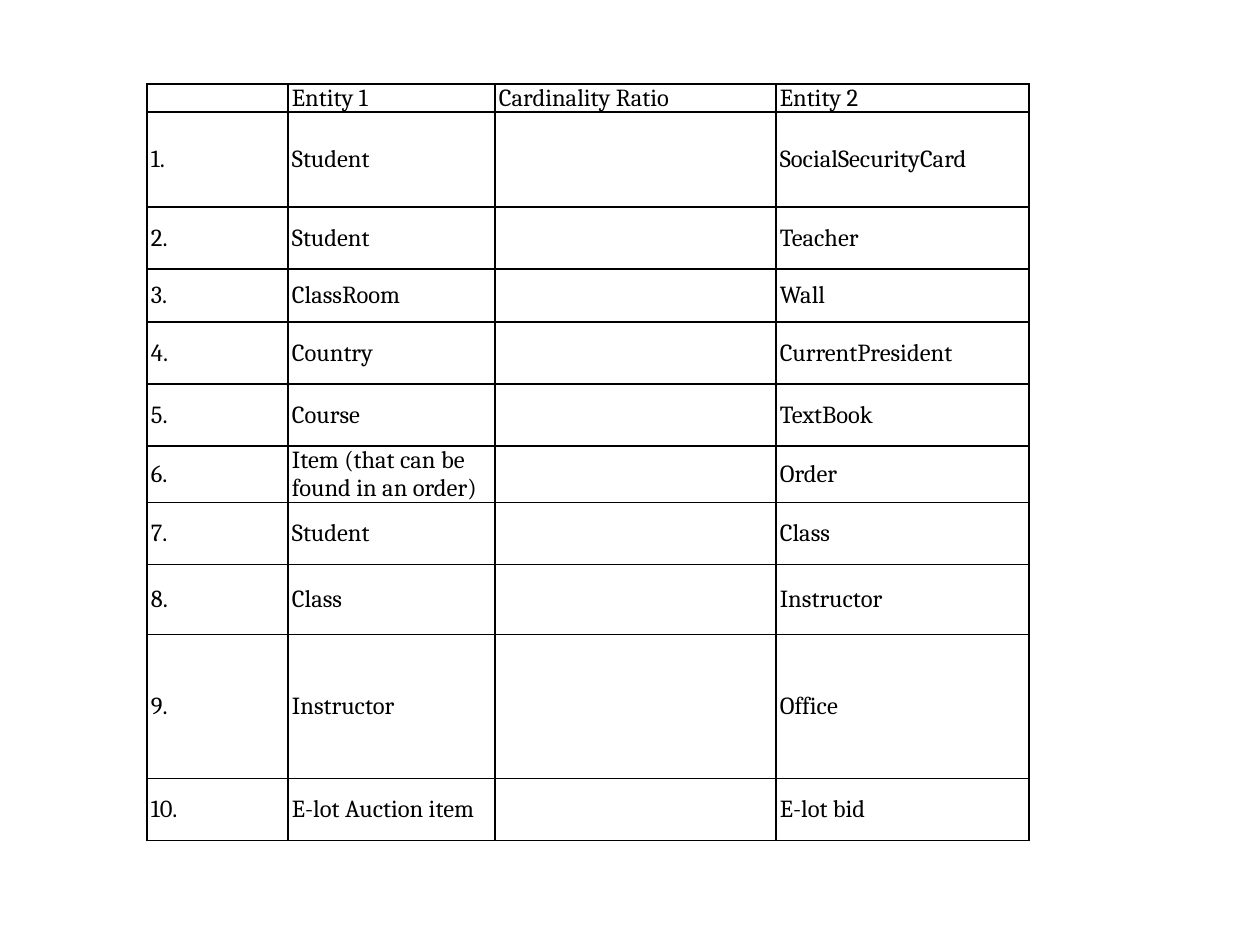
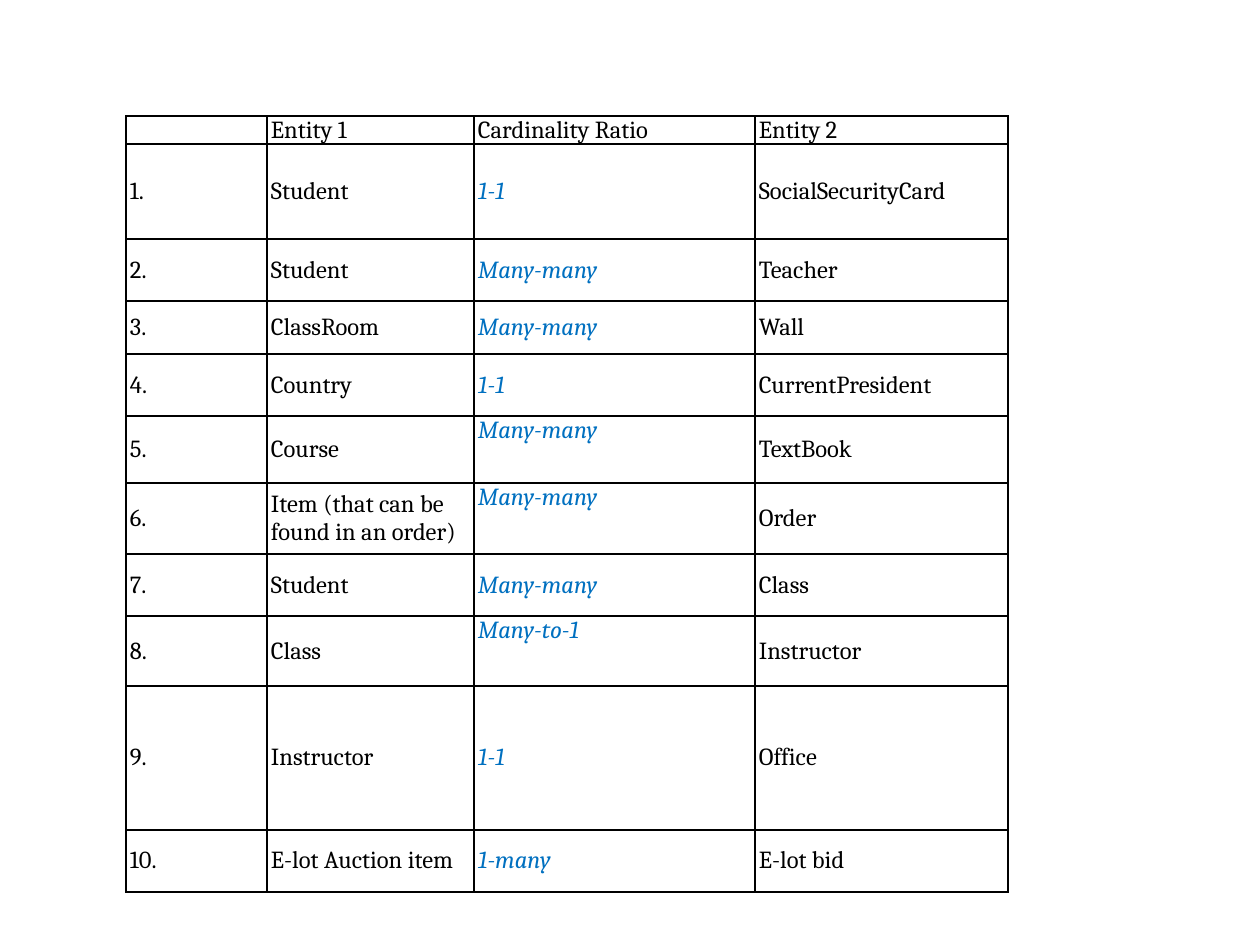
"""Build two slides of cardinality tables: the exercise and its answers."""
from lxml.etree import SubElement
from pptx import Presentation
from pptx.dml.color import RGBColor
from pptx.enum.text import MSO_ANCHOR
from pptx.oxml.ns import qn
from pptx.util import Pt

FONT = "Cambria"
BLACK = "000000"
BLUE = "0070C0"
SIZE = 14
COLS = [141, 207, 281, 253]
HEADS = ["", "Entity 1", "Cardinality Ratio", "Entity 2"]
PAIRS = [
    ("Student", "1-1", "SocialSecurityCard"),
    ("Student", "Many-many", "Teacher"),
    ("ClassRoom", "Many-many", "Wall"),
    ("Country", "1-1", "CurrentPresident"),
    ("Course", "Many-many", "TextBook"),
    ("Item (that can be found in an order)", "Many-many", "Order"),
    ("Student", "Many-many", "Class"),
    ("Class", "Many-to-1", "Instructor"),
    ("Instructor", "1-1", "Office"),
    ("E-lot Auction item", "1-many", "E-lot bid"),
]
TASK = [28, 95, 62, 53, 62, 62, 56, 62, 70, 144, 62]
KEY = [28, 95, 62, 53, 62, 67, 71, 62, 70, 144, 62]
RAISED = {5, 6, 8}


def px(count):
    return round(count * 914400 / 126)


def paint(code):
    return RGBColor.from_string(code)


deck = Presentation()
deck.slide_width = px(1260)
deck.slide_height = px(945)

for left, top, heights, solved in [(147, 84, TASK, False), (126, 116, KEY, True)]:
    slide = deck.slides.add_slide(deck.slide_layouts[6])
    frame = slide.shapes.add_table(len(heights), len(COLS), px(left), px(top),
                                   px(sum(COLS)), px(sum(heights)))
    table = frame.table
    table.first_row = False
    table.horz_banding = False
    for col, width in zip(table.columns, COLS):
        col.width = px(width)
    for row, height in zip(table.rows, heights):
        row.height = px(height)

    lines = [HEADS]
    for num, (first, ratio, second) in enumerate(PAIRS, 1):
        lines.append([f"{num}.", first, ratio if solved else "", second])

    for r, line in enumerate(lines):
        for c, text in enumerate(line):
            cell = table.cell(r, c)
            answer = r > 0 and c == 2
            cell.margin_left = cell.margin_right = px(4)
            cell.margin_top = cell.margin_bottom = 0
            raised = answer and r in RAISED
            cell.vertical_anchor = MSO_ANCHOR.TOP if raised else MSO_ANCHOR.MIDDLE

            props = cell._tc.get_or_add_tcPr()
            for side in ("lnL", "lnR", "lnT", "lnB"):
                edge = SubElement(props, qn(f"a:{side}"), w=str(Pt(1)))
                fill = SubElement(edge, qn("a:solidFill"))
                SubElement(fill, qn("a:srgbClr"), val=BLACK)
            cell.fill.background()

            para = cell.text_frame.paragraphs[0]
            para.space_before = para.space_after = Pt(6)
            if text:
                run = para.add_run()
                run.text = text
                run.font.name = FONT
                run.font.size = Pt(SIZE)
                run.font.italic = answer
                run.font.color.rgb = paint(BLUE if answer else BLACK)
            else:
                end = SubElement(para._p, qn("a:endParaRPr"), sz=str(SIZE * 100))
                SubElement(end, qn("a:latin"), typeface=FONT)

deck.save("out.pptx")
